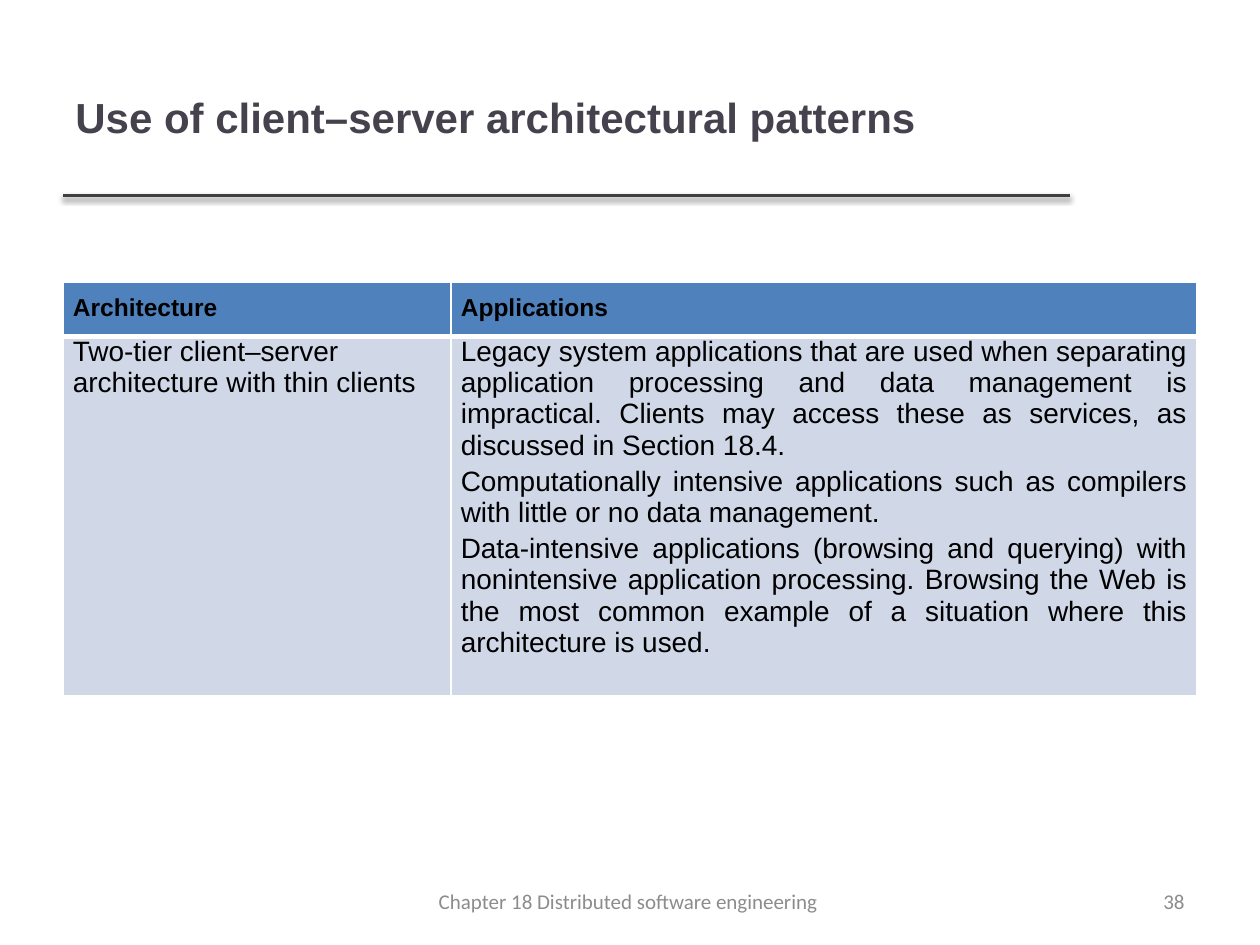
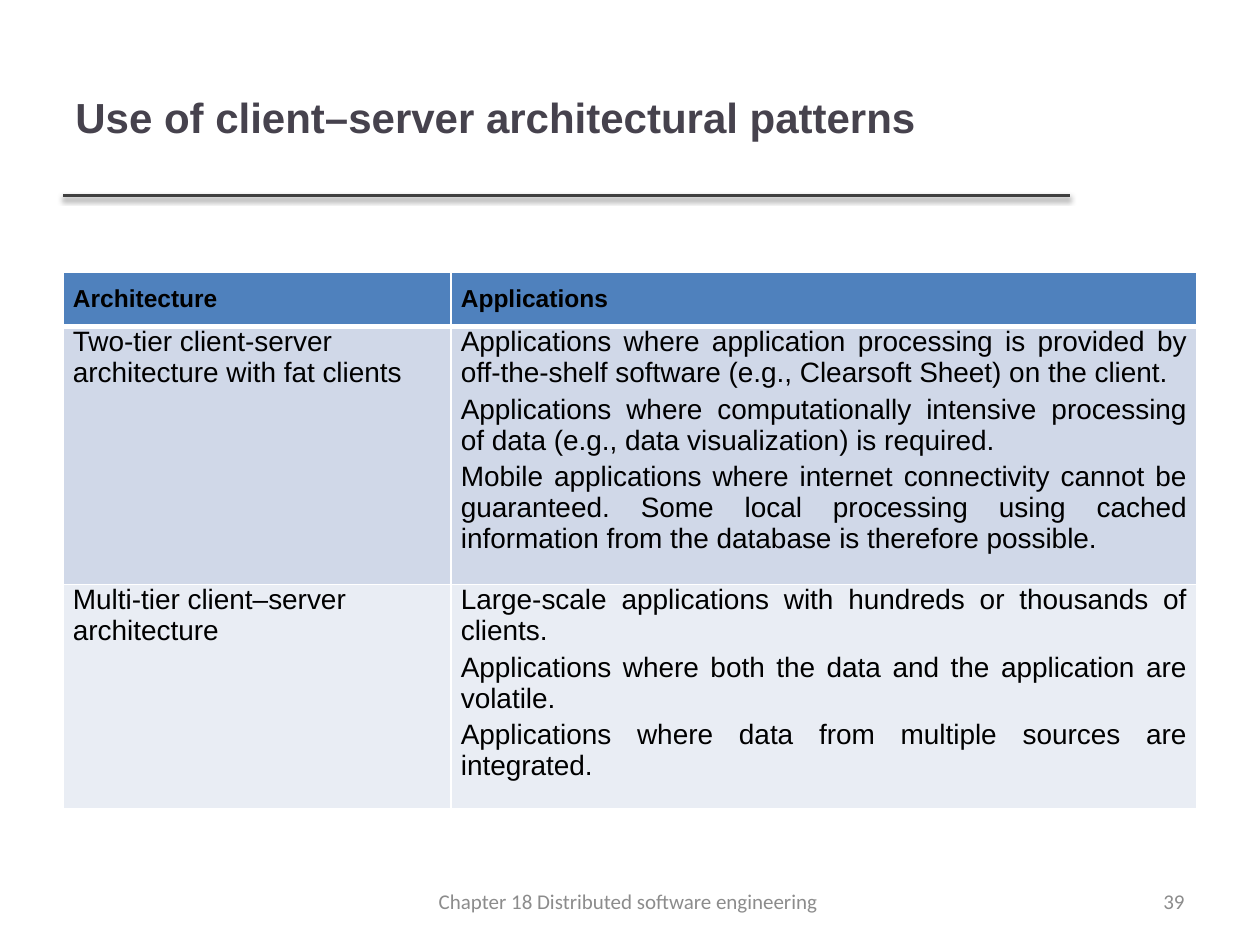
from dataclasses import dataclass

from lxml import etree
from pptx import Presentation
from pptx.dml.color import RGBColor
from pptx.enum.shapes import MSO_CONNECTOR
from pptx.enum.text import MSO_ANCHOR, PP_ALIGN
from pptx.oxml import parse_xml
from pptx.oxml.ns import nsdecls, qn
from pptx.util import Cm, Pt

STRAIGHT = MSO_CONNECTOR.STRAIGHT
MIDDLE = MSO_ANCHOR.MIDDLE
LEFT, CENTER, RIGHT, JUSTIFY = PP_ALIGN.LEFT, PP_ALIGN.CENTER, PP_ALIGN.RIGHT, PP_ALIGN.JUSTIFY


@dataclass(frozen=True)
class Theme:
    title_color: str = "46424D"
    text_color: str = "000000"
    footer_color: str = "8C8C8C"
    rule_color: str = "404040"
    border_color: str = "FFFFFF"
    header_fill: str = "4F81BD"
    band_fills: tuple = ("D0D8E8", "E9EDF4")
    body_font: str = "Arial"
    footer_font: str = "Calibri"
    title_size: int = 24
    header_size: int = 14
    body_size: int = 16
    footer_size: int = 12
    rule_width: int = 2
    border_width: int = 1
    header_border_width: int = 3


THEME = Theme()
TITLE_STYLE = {"name": THEME.body_font, "size": Pt(THEME.title_size), "bold": True}
HEADER_STYLE = {"name": THEME.body_font, "size": Pt(THEME.header_size), "bold": True}
BODY_STYLE = {"name": THEME.body_font, "size": Pt(THEME.body_size), "bold": False}
FOOTER_STYLE = {"name": THEME.footer_font, "size": Pt(THEME.footer_size), "bold": False}

MARGIN = Cm(1.27)
COLUMN_WIDTHS = (Cm(7.82), Cm(15.04))
ROW_HEIGHT = Cm(1.04)
TITLE = "Use of client–server architectural patterns"
FOOTER = "Chapter 18 Distributed software engineering"
HEADINGS = ("Architecture", "Applications")

PAGES = (
    {
        "number": 38,
        "top": Cm(5.69),
        "height": Cm(8.33),
        "rows": (
            ("Two-tier client–server architecture with thin clients", (
                "Legacy system applications that are used when separating application "
                "processing and data management is impractical. Clients may access these "
                "as services, as discussed in Section 18.4.",
                "Computationally intensive applications such as compilers with little or "
                "no data management.",
                "Data-intensive applications (browsing and querying) with nonintensive "
                "application processing. Browsing the Web is the most common example of "
                "a situation where this architecture is used.",
            )),
        ),
    },
    {
        "number": 39,
        "top": Cm(5.49),
        "height": Cm(10.85),
        "rows": (
            ("Two-tier client-server architecture with fat clients", (
                "Applications where application processing is provided by off-the-shelf "
                "software (e.g., Clearsoft Sheet) on the client.",
                "Applications where computationally intensive processing of data (e.g., "
                "data visualization) is required.",
                "Mobile applications where internet connectivity cannot be guaranteed. "
                "Some local processing using cached information from the database is "
                "therefore possible.",
            )),
            ("Multi-tier client–server architecture", (
                "Large-scale applications with hundreds or thousands of clients.",
                "Applications where both the data and the application are volatile.",
                "Applications where data from multiple sources are integrated.",
            )),
        ),
    },
)


def write_paragraphs(frame, texts, style, color, align, space_after=0):
    for index, text in enumerate(texts):
        para = frame.paragraphs[0] if index == 0 else frame.add_paragraph()
        para.alignment = align
        para.space_after = Pt(space_after)
        span = para.add_run()
        span.text = text
        for name, value in style.items():
            setattr(span.font, name, value)
        span.font.color.rgb = RGBColor.from_string(color)


def add_text(page, bounds, text, style, color, align):
    box = page.shapes.add_textbox(*bounds)
    for name, value in {"word_wrap": True, "vertical_anchor": MIDDLE}.items():
        setattr(box.text_frame, name, value)
    write_paragraphs(box.text_frame, [text], style, color, align)


def add_title_rule(page):
    rule = page.shapes.add_connector(STRAIGHT, MARGIN, Cm(3.94), Cm(21.56), Cm(3.94))
    rule.line.width = Pt(THEME.rule_width)
    rule.line.color.rgb = RGBColor.from_string(THEME.rule_color)
    effects = etree.SubElement(rule.line._get_or_add_ln().getparent(), qn("a:effectLst"))
    shadow = etree.SubElement(
        effects, qn("a:outerShdw"), blurRad=str(Pt(3.1)), dist=str(Pt(1.6)),
        dir="5400000", rotWithShape="0")
    color = etree.SubElement(shadow, qn("a:srgbClr"), val="000000")
    etree.SubElement(color, qn("a:alpha"), val="38000")


def add_borders(cell, bottom_width):
    widths = dict.fromkeys(("lnL", "lnR", "lnT"), THEME.border_width)
    widths["lnB"] = bottom_width
    properties = cell._tc.get_or_add_tcPr()
    for side, width in widths.items():
        properties.append(parse_xml(
            f'<a:{side} {nsdecls("a")} w="{Pt(width)}"><a:solidFill>'
            f'<a:srgbClr val="{THEME.border_color}"/></a:solidFill></a:{side}>'))


def fill_cell(cell, texts, style, align, fill, margin_top, bottom_width, space_after=0):
    margins = {"margin_left": Cm(0.2), "margin_right": Cm(0.2),
               "margin_top": margin_top, "margin_bottom": Cm(0.25)}
    for name, value in margins.items():
        setattr(cell, name, value)
    add_borders(cell, bottom_width)
    cell.fill.solid()
    cell.fill.fore_color.rgb = RGBColor.from_string(fill)
    write_paragraphs(cell.text_frame, texts, style, THEME.text_color, align, space_after)


def add_pattern_table(page, top, height, rows):
    holder = page.shapes.add_table(
        len(rows) + 1, len(HEADINGS), MARGIN, top, sum(COLUMN_WIDTHS), height)
    table = holder.table
    for column, width in zip(table.columns, COLUMN_WIDTHS):
        column.width = width
    for row in table.rows:
        row.height = ROW_HEIGHT
    holder.height = height
    for index, heading in enumerate(HEADINGS):
        fill_cell(table.cell(0, index), [heading], HEADER_STYLE, JUSTIFY,
                  THEME.header_fill, Cm(0.25), THEME.header_border_width)
    for index, (architecture, applications) in enumerate(rows):
        fill = THEME.band_fills[index % len(THEME.band_fills)]
        fill_cell(table.cell(index + 1, 0), [architecture], BODY_STYLE, LEFT,
                  fill, 0, THEME.border_width)
        fill_cell(table.cell(index + 1, 1), applications, BODY_STYLE, JUSTIFY,
                  fill, 0, THEME.border_width, space_after=3)


def add_frame(page, number):
    add_title_rule(page)
    add_text(page, (MARGIN, Cm(0.76), Cm(20.27), Cm(3.18)), TITLE,
             TITLE_STYLE, THEME.title_color, LEFT)
    add_text(page, (Cm(18.21), Cm(17.65), Cm(5.92), Cm(1.02)), str(number),
             FOOTER_STYLE, THEME.footer_color, RIGHT)
    add_text(page, (Cm(7.57), Cm(17.65), Cm(10.19), Cm(1.02)), FOOTER,
             FOOTER_STYLE, THEME.footer_color, CENTER)


def main():
    deck = Presentation()
    deck.slide_width, deck.slide_height = Cm(25.4), Cm(19.05)
    blank = deck.slide_layouts[6]
    for content in PAGES:
        page = deck.slides.add_slide(blank)
        add_frame(page, content["number"])
        add_pattern_table(page, content["top"], content["height"], content["rows"])
    deck.save("out.pptx")


main()
